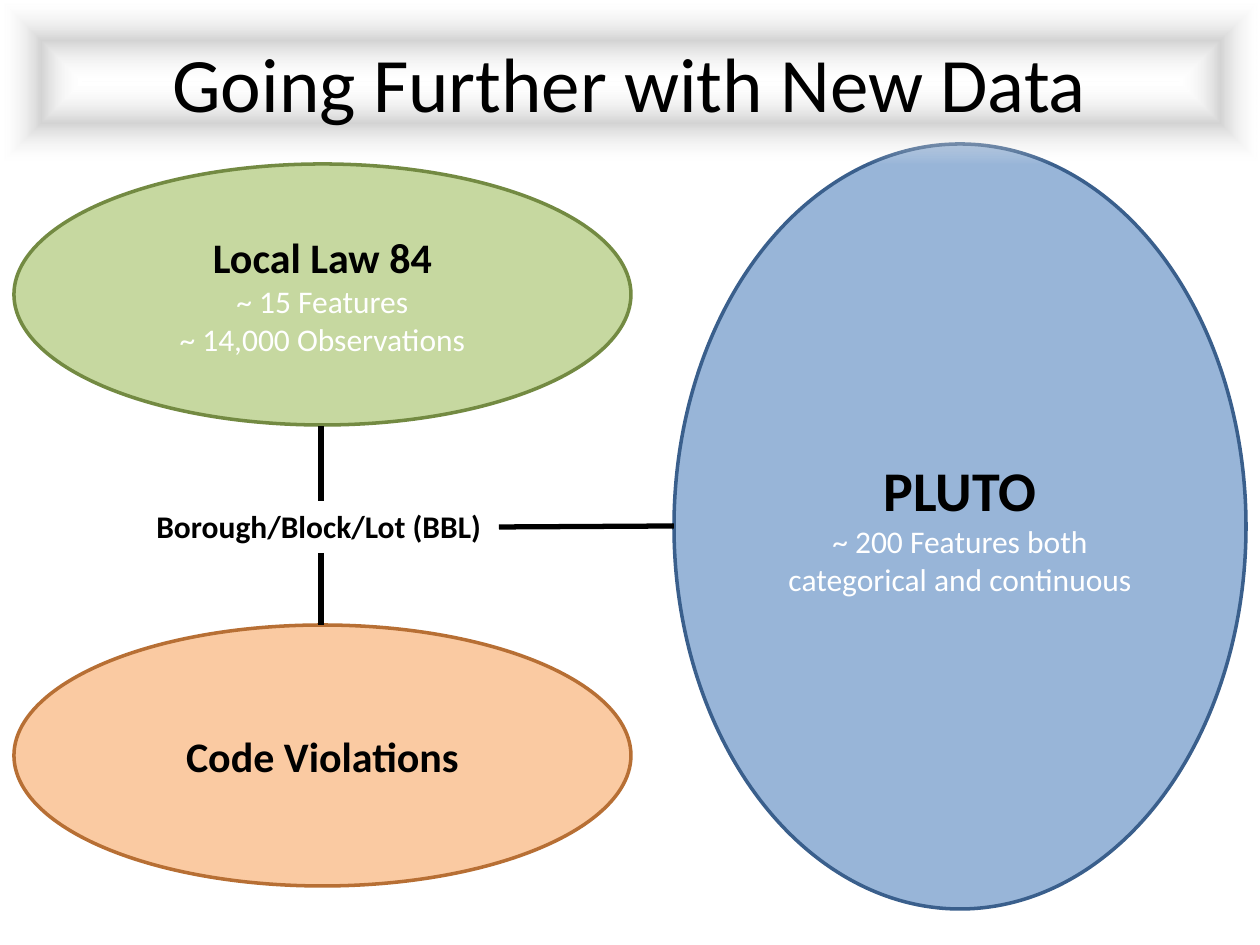
"""Build a slide that shows how three data sets join on one shared key."""
from dataclasses import dataclass

import lxml.etree
import pptx
import pptx.dml.color
import pptx.enum.shapes
import pptx.enum.text
import pptx.oxml
import pptx.oxml.ns
import pptx.util

EMU_PER_PX = 914400 / 126
FONT = "Calibri"
CENTER = pptx.enum.text.PP_ALIGN.CENTER
MIDDLE = pptx.enum.text.MSO_ANCHOR.MIDDLE


@dataclass
class Dataset:
    """An ellipse with a bold name and plain details."""
    box: tuple[int, int, int, int]
    fill: str
    alpha: int
    line: str
    name: str
    size: int
    details: tuple[str, ...] = ()


@dataclass
class Link:
    """A straight line between two points."""
    start: tuple[int, int]
    end: tuple[int, int]


DATASETS = [
    Dataset((674, 144, 572, 765), "4F81BD", 58, "3A5F8C", "PLUTO", 32,
            ("~ 200 Features both categorical and continuous",)),
    Dataset((14, 625, 617, 261), "F79646", 50, "B76F34", "Code Violations", 24),
    Dataset((14, 164, 617, 261), "9BBB59", 57, "738A42", "Local Law 84", 24,
            ("~ 15 Features", "~ 14,000 Observations")),
]
LINKS = [
    Link((674, 526), (499, 527)),
    Link((321, 553), (321, 625)),
    Link((321, 501), (321, 426)),
]
TITLE_STOPS = [(0, "FFFFFF", 0), (50, "BFBFBF", 68), (100, "FFFFFF", 0)]


def px(*lengths: int) -> list[int]:
    """Turn pixels into EMU."""
    return [round(length * EMU_PER_PX) for length in lengths]


def color(target, value: str) -> None:
    """Paint a fill or a font with a hex colour."""
    if hasattr(target, "solid"):
        target.solid()
        target = target.fore_color
    else:
        target = target.color
    target.rgb = pptx.dml.color.RGBColor.from_string(value)


def write(p, text: str, size: int, value: str, bold: bool = False) -> None:
    """Put one evenly formatted text into a paragraph."""
    p.text = text
    p.font.name = FONT
    p.font.size = pptx.util.Pt(size)
    p.font.bold = bold
    color(p.font, value)


def add_title(s, text: str) -> None:
    """Place the title above the other shapes on a soft gradient frame."""
    sp = s.shapes.title
    sp.left, sp.top, sp.width, sp.height = px(0, 0, 1260, 164)
    stops = "".join(
        f'<a:gs pos="{pos * 1000}"><a:srgbClr val="{value}">'
        f'<a:alpha val="{alpha * 1000}"/></a:srgbClr></a:gs>'
        for pos, value, alpha in TITLE_STOPS)
    sp.element.spPr.append(pptx.oxml.parse_xml(
        f'<a:gradFill {pptx.oxml.ns.nsdecls("a")}><a:gsLst>{stops}</a:gsLst>'
        '<a:path path="rect"><a:fillToRect l="50000" t="50000" r="50000" b="50000"/>'
        '</a:path></a:gradFill>'))
    sp.text_frame.vertical_anchor = MIDDLE
    p = sp.text_frame.paragraphs[0]
    p.alignment = CENTER
    write(p, text, 44, "000000")
    sp.element.getparent().append(sp.element)


def add_dataset(s, dataset: Dataset) -> None:
    """Draw one data set."""
    sp = s.shapes.add_shape(pptx.enum.shapes.MSO_SHAPE.OVAL, *px(*dataset.box))
    sp.shadow.inherit = False
    color(sp.fill, dataset.fill)
    rgb = sp.element.spPr.find(".//" + pptx.oxml.ns.qn("a:srgbClr"))
    alpha = lxml.etree.SubElement(rgb, pptx.oxml.ns.qn("a:alpha"))
    alpha.set("val", str(dataset.alpha * 1000))
    color(sp.line.fill, dataset.line)
    sp.line.width = pptx.util.Pt(2)
    tf = sp.text_frame
    tf.word_wrap = True
    tf.vertical_anchor = MIDDLE
    write(tf.paragraphs[0], dataset.name, dataset.size, "000000", True)
    for detail in dataset.details:
        write(tf.add_paragraph(), detail, 18, "FFFFFF")
    for p in tf.paragraphs:
        p.alignment = CENTER


def add_key(s, text: str) -> None:
    """Add the label of the shared key."""
    tf = s.shapes.add_textbox(*px(144, 501, 354, 50)).text_frame
    tf.word_wrap = False
    tf.auto_size = pptx.enum.text.MSO_AUTO_SIZE.SHAPE_TO_FIT_TEXT
    write(tf.paragraphs[0], text, 18, "000000", True)


def add_link(s, link: Link) -> None:
    """Draw one line from the key to a data set."""
    line = s.shapes.add_connector(
        pptx.enum.shapes.MSO_CONNECTOR.STRAIGHT, *px(*link.start, *link.end))
    color(line.line.fill, "000000")
    line.line.width = pptx.util.Pt(3)
    lxml.etree.SubElement(line.element.spPr, pptx.oxml.ns.qn("a:effectLst"))


def main() -> None:
    """Build and save the slide."""
    prs = pptx.Presentation()
    prs.slide_width, prs.slide_height = px(1260, 945)
    s = prs.slides.add_slide(prs.slide_layouts.get_by_name("Title Only"))
    for dataset in DATASETS:
        add_dataset(s, dataset)
    add_title(s, "Going Further with New Data")
    add_key(s, "Borough/Block/Lot (BBL)")
    for link in LINKS:
        add_link(s, link)
    prs.save("out.pptx")


if __name__ == "__main__":
    main()
